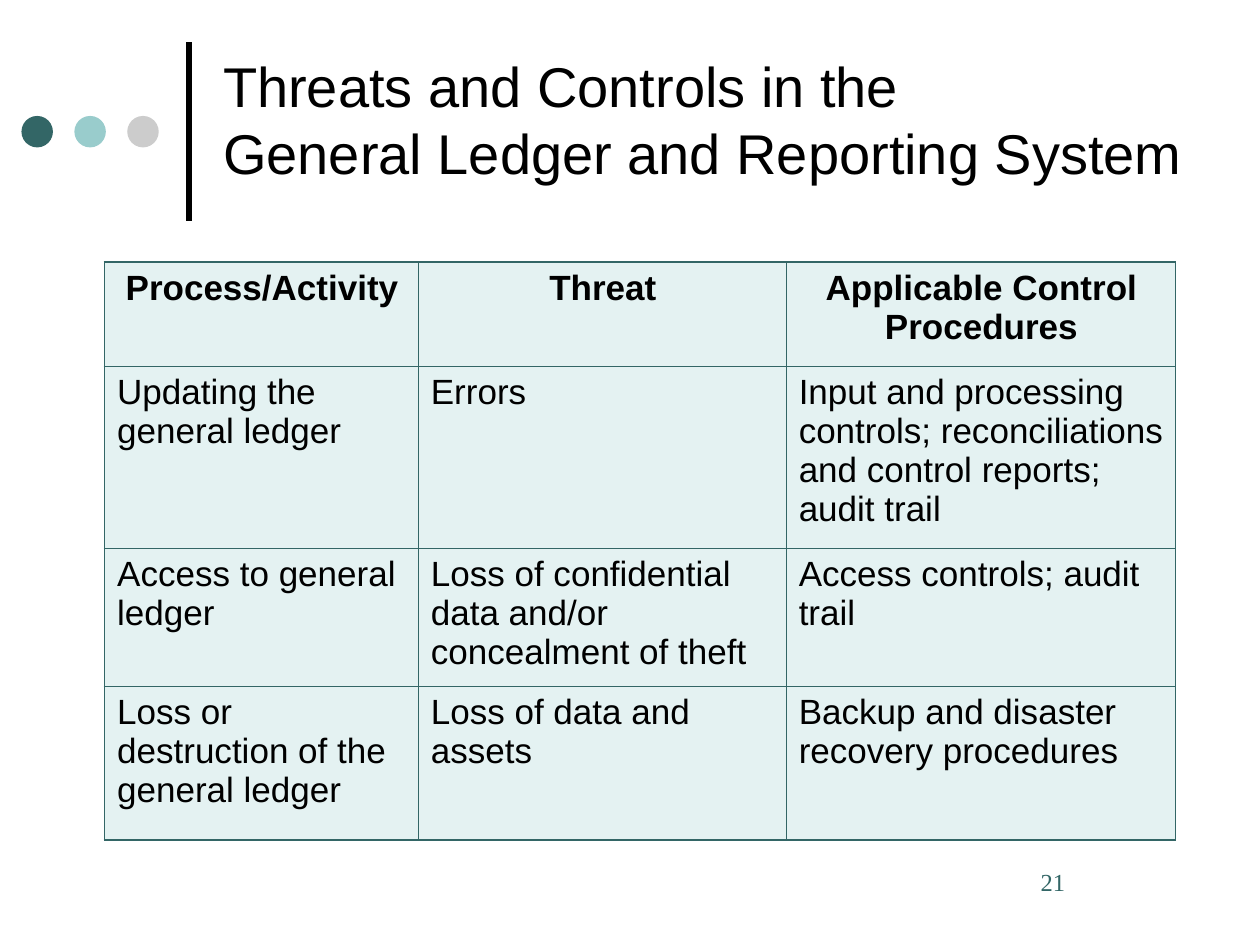
"""Build the slide on threats and controls in the general ledger and reporting system."""
from lxml import etree
from pptx import Presentation
from pptx import util as u
from pptx.dml.color import RGBColor
from pptx.enum import shapes, text
from pptx.oxml import ns


def rgb(value):
    return RGBColor.from_string(value)


def add_run(p, words, size, font="Arial", color="000000", bold=False):
    r = p.add_run()
    r.text = words
    r.font.size = u.Pt(size)
    r.font.name = font
    r.font.bold = bold
    r.font.color.rgb = rgb(color)


prs = Presentation()
prs.slide_width, prs.slide_height = u.Inches(10), u.Inches(7.5)
s = prs.slides.add_slide(prs.slide_layouts[5])

bar = s.shapes.add_connector(shapes.MSO_CONNECTOR.STRAIGHT, u.Inches(1.5), u.Inches(1.75), u.Inches(1.5), u.Inches(0.33))
bar.line.color.rgb = rgb("000000")
bar.line.width = u.Pt(3)
etree.SubElement(bar._element.spPr, ns.qn("a:effectLst"))

for i, color in enumerate(["336666", "99CCCC", "CCCCCC"]):
    dot = s.shapes.add_shape(shapes.MSO_SHAPE.OVAL, u.Inches(0.17 + 0.42 * i), u.Inches(0.92), u.Inches(0.25), u.Inches(0.25))
    dot.shadow.inherit = False
    dot.fill.solid()
    dot.fill.fore_color.rgb = rgb(color)
    dot.line.fill.background()

title = s.shapes.title
title.left, title.top, title.width, title.height = u.Inches(1.67), u.Inches(0.21), u.Inches(8), u.Inches(1.46)
tf = title.text_frame
tf.word_wrap = True
tf.auto_size = text.MSO_AUTO_SIZE.NONE
tf.vertical_anchor = text.MSO_ANCHOR.MIDDLE
p = tf.paragraphs[0]
p.alignment = text.PP_ALIGN.LEFT
add_run(p, "Threats and Controls in the", 32)
p.add_line_break()
add_run(p, "General Ledger and Reporting System", 32)

rows = [
    ["Process/Activity", "Threat", "Applicable Control Procedures"],
    ["Updating the general ledger", "Errors",
     "Input and processing controls; reconciliations and control reports; audit trail"],
    ["Access to general ledger", "Loss of confidential data and/or concealment of theft",
     "Access controls; audit trail"],
    ["Loss or destruction of the general ledger", "Loss of data and assets",
     "Backup and disaster recovery procedures"],
]
widths = [2.49, 2.92, 3.09]
heights = [0.83, 1.44, 1.1, 1.22]
table = s.shapes.add_table(len(rows), len(widths), u.Inches(0.83), u.Inches(2.08), u.Inches(8.5), u.Inches(4.59)).table
table.first_row = table.horz_banding = False
for column, width in zip(table.columns, widths):
    column.width = u.Inches(width)
for row, height in zip(table.rows, heights):
    row.height = u.Inches(height)

for i, row in enumerate(rows):
    for j, words in enumerate(row):
        cell = table.cell(i, j)
        cell.margin_right = u.Inches(0.09)
        outer = {"L": j == 0, "R": j == len(widths) - 1, "T": i == 0, "B": i == len(rows) - 1}
        tcPr = cell._tc.get_or_add_tcPr()
        for side, is_outer in outer.items():
            ln = etree.SubElement(tcPr, ns.qn(f"a:ln{side}"), w=str(u.Pt(1.08 if is_outer else 0.45)))
            fill = etree.SubElement(ln, ns.qn("a:solidFill"))
            etree.SubElement(fill, ns.qn("a:srgbClr"), val="336666")
        cell.fill.solid()
        cell.fill.fore_color.rgb = rgb("E4F2F2")
        p = cell.text_frame.paragraphs[0]
        p.alignment = text.PP_ALIGN.CENTER if i == 0 else text.PP_ALIGN.LEFT
        add_run(p, words, 20, bold=i == 0)

number = s.shapes.add_textbox(u.Inches(7.92), u.Inches(6.83), u.Inches(1.42), u.Inches(0.5))
tf = number.text_frame
tf.word_wrap = True
p = tf.paragraphs[0]
p._p.get_or_add_pPr().set("marL", str(u.Inches(0.24)))
add_run(p, "21", 14, "Times New Roman", "336666")

prs.save("out.pptx")
